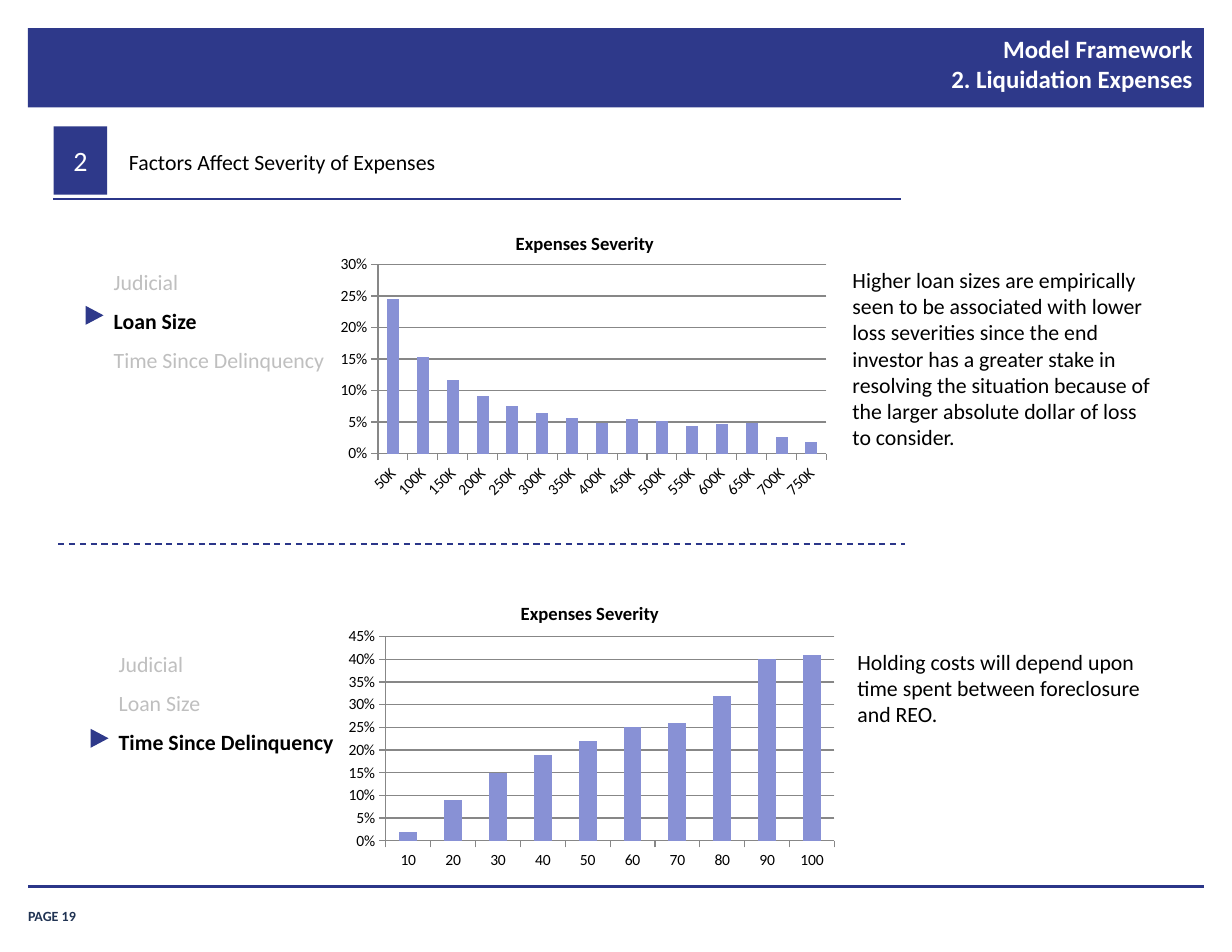
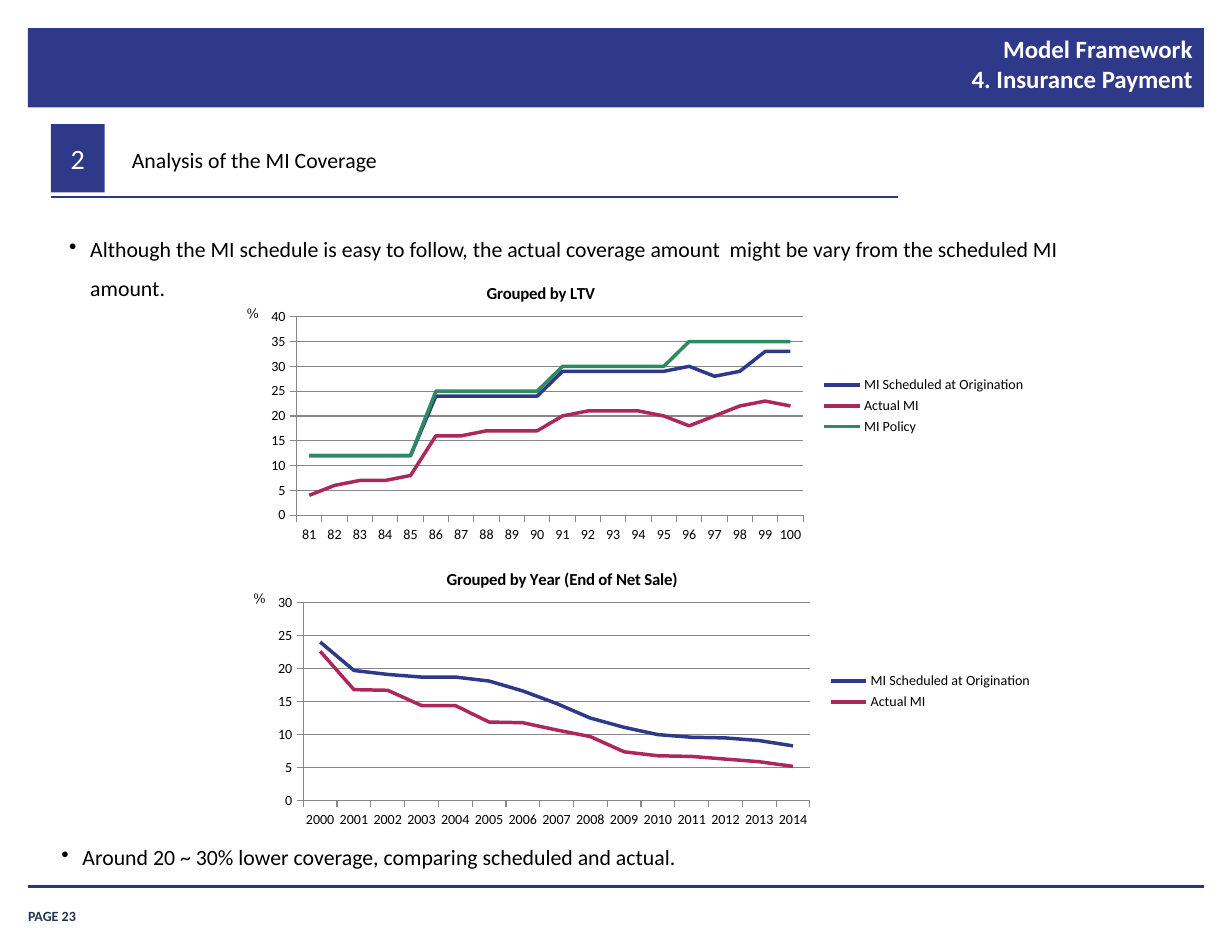
"""Build two slides on liquidation expenses and insurance payment."""
from dataclasses import dataclass
from typing import Any, Optional

import lxml.etree
import pptx
import pptx.chart.data
import pptx.dml.color
import pptx.enum.chart
import pptx.enum.dml
import pptx.enum.shapes
import pptx.enum.text
import pptx.oxml.ns
import pptx.util

Pt = pptx.util.Pt
qn = pptx.oxml.ns.qn
Align = pptx.enum.text.PP_ALIGN
Anchor = pptx.enum.text.MSO_ANCHOR
Shape = pptx.enum.shapes.MSO_SHAPE
Kind = pptx.enum.chart.XL_CHART_TYPE

NAVY, RULE, FOOT = "2E398A", "2B3689", "203353"
BLACK, WHITE, DIM, GRID = "000000", "FFFFFF", "BFBFBF", "878787"
BAR, ROSE, GREEN = "8891D5", "AD275C", "2E8A60"
FACTORS = ["Judicial", "Loan Size", "Time Since Delinquency"]
Box = tuple[float, float, float, float]


@dataclass
class Line:
    """A named chart series with its colour."""
    name: str
    color: str
    vals: list[float]


@dataclass
class Graph:
    """A chart with its place, data and axis scale."""
    box: Box
    plot: Box
    cats: list[str]
    lines: list[Line]
    top: float
    step: float
    title: str = ""
    spot: tuple[float, float] = (0, 0)
    turn: int = 0


@dataclass
class Panel:
    """A factor list, its chart and its note."""
    shift: float
    top: float
    live: int
    note: list[str]
    graph: Graph


def paint(color: str) -> Any:
    """Turn a hex string into a colour."""
    return pptx.dml.color.RGBColor.from_string(color)


def write(shape: Any, text: list[str], *, size: float = 14, color: str = BLACK,
          bold: bool = False, font: str = "Calibri", align: Any = Align.LEFT,
          space: Optional[float] = None, bullet: bool = False,
          live: Optional[int] = None, anchor: Any = Anchor.TOP,
          pad: tuple[float, float] = (7.2, 3.6), wrap: bool = True) -> None:
    """Fill a shape with formatted paragraphs."""
    frame = shape.text_frame
    frame.word_wrap, frame.vertical_anchor = wrap, anchor
    frame.margin_left = frame.margin_right = Pt(pad[0])
    frame.margin_top = frame.margin_bottom = Pt(pad[1])
    for row, words in enumerate(text):
        para = frame.add_paragraph() if row else frame.paragraphs[0]
        para.text, para.alignment = words, align
        if space:
            para.line_spacing = space
        if bullet:
            props = para._p.get_or_add_pPr()
            props.set("marL", str(Pt(13.5)))
            props.set("indent", str(-Pt(13.5)))
            lxml.etree.SubElement(props, qn("a:buChar")).set("char", "•")
        for run in para.runs:
            run.font.name, run.font.size = font, Pt(size)
            run.font.bold = bold or row == live
            run.font.color.rgb = paint(BLACK if row == live else color)


def label(slide: Any, box: Box, text: list[str], **style: Any) -> None:
    """Add a text box."""
    write(slide.shapes.add_textbox(*map(Pt, box)), text, **style)


def block(slide: Any, kind: Any, box: Box) -> Any:
    """Add a navy shape with no outline."""
    shape = slide.shapes.add_shape(kind, *map(Pt, box))
    shape.shadow.inherit = False
    shape.fill.solid()
    shape.fill.fore_color.rgb = paint(NAVY)
    shape.line.fill.background()
    return shape


def rule(slide: Any, left: float, top: float, width: float,
         weight: float = 1, dash: bool = False) -> None:
    """Draw a level line."""
    line = slide.shapes.add_connector(
        pptx.enum.shapes.MSO_CONNECTOR.STRAIGHT,
        Pt(left), Pt(top), Pt(left + width), Pt(top))
    line.line.color.rgb, line.line.width = paint(RULE), Pt(weight)
    if dash:
        line.line.dash_style = pptx.enum.dml.MSO_LINE.DASH
    lxml.etree.SubElement(line._element.spPr, qn("a:effectLst"))


def place(part: Any, index: int, spot: tuple[float, ...], inner: bool) -> None:
    """Fix the layout of a chart part, in shares of the chart."""
    old = part.find(qn("c:layout"))
    if old is not None:
        part.remove(old)
    layout = lxml.etree.Element(qn("c:layout"))
    part.insert(index, layout)
    manual = lxml.etree.SubElement(layout, qn("c:manualLayout"))
    pairs = [("layoutTarget", "inner")] if inner else []
    pairs += [("xMode", "edge"), ("yMode", "edge"), *zip("xywh", spot)]
    for tag, value in pairs:
        lxml.etree.SubElement(manual, qn(f"c:{tag}")).set("val", str(value))


def draw(slide: Any, graph: Graph, kind: Any) -> None:
    """Add a bar or line chart."""
    data = pptx.chart.data.CategoryChartData()
    data.categories = graph.cats
    for line in graph.lines:
        data.add_series(line.name, line.vals)
    chart = slide.shapes.add_chart(kind, *map(Pt, graph.box), data).chart
    bars = kind == Kind.COLUMN_CLUSTERED
    chart.font.name, chart.font.size = "Calibri", Pt(10 if bars else 9)
    chart.font.color.rgb = paint(BLACK)
    plot = chart.plots[0]
    plot.vary_by_categories = False
    if bars:
        plot.gap_width = 150
    for line, series in zip(graph.lines, plot.series):
        if bars:
            series.format.fill.solid()
            series.format.fill.fore_color.rgb = paint(line.color)
        else:
            series.smooth = False
            series.format.line.color.rgb = paint(line.color)
            series.format.line.width = Pt(2.25)
    scale = chart.value_axis
    scale.minimum_scale, scale.maximum_scale = 0, graph.top
    scale.major_unit, scale.has_major_gridlines = graph.step, True
    scale.tick_labels.number_format = "0%" if bars else "0"
    scale.tick_labels.number_format_is_linked = False
    for axis in (scale, chart.category_axis):
        axis.major_tick_mark = pptx.enum.chart.XL_TICK_MARK.OUTSIDE
    for part in (scale, chart.category_axis, scale.major_gridlines):
        part.format.line.color.rgb = paint(GRID)
        part.format.line.width = Pt(0.75)
    if graph.turn:
        chart.category_axis.tick_labels.font.size = Pt(10)
        body = chart.category_axis._element.find(qn("c:txPr")).find(qn("a:bodyPr"))
        body.set("rot", str(graph.turn * 60000))
    chart.has_legend = not bars
    if chart.has_legend:
        chart.legend.position = pptx.enum.chart.XL_LEGEND_POSITION.RIGHT
        chart.legend.include_in_layout = False
    chart.has_title = bool(graph.title)
    if graph.title:
        write(chart.chart_title, [graph.title], size=10.8, bold=True)
        place(chart.chart_title._element, 1, graph.spot, False)
    place(chart._chartSpace.chart.plotArea, 0, graph.plot, True)


def start(deck: Any, title: str, page: int) -> Any:
    """Add a slide with the shared band, title and footer."""
    slide = deck.slides.add_slide(deck.slide_layouts[6])
    block(slide, Shape.RECTANGLE, (18, 18, 756, 51))
    label(slide, (18, 577.4, 65.5, 16.6), [f"PAGE {page}"], size=9, bold=True,
          color=FOOT, anchor=Anchor.BOTTOM, pad=(0, 0))
    rule(slide, 18, 570, 756, 2)
    label(slide, (239, 17.3, 535.6, 53.3), [f"Model Framework\v{title}"],
          size=16, bold=True, color=WHITE, align=Align.RIGHT, pad=(7.9, 4.3))
    return slide


def head(slide: Any, left: float, top: float, gap: float, text: str) -> None:
    """Add the numbered section heading."""
    tile = block(slide, Shape.RECTANGLE, (left, top, 34.5, 44))
    write(tile, ["2"], size=18, color=WHITE, align=Align.CENTER,
          anchor=Anchor.MIDDLE)
    rule(slide, left, top + 46.8, 544.6)
    label(slide, (left + gap, top + 11.2, 320, 24.5), [text])


def show(slide: Any, panel: Panel) -> None:
    """Draw one factor panel."""
    shift, top = panel.shift, panel.top
    label(slide, (66 + shift, top, 184, 83.5), FACTORS, color=DIM,
          space=1.5, live=panel.live)
    mark = block(slide, Shape.ISOSCELES_TRIANGLE,
                 (54.7 + shift, top + 10 + 26.4 * panel.live, 12.2, 11.5))
    mark.rotation = 90
    label(slide, (540.9 + shift, top + 7.4, 207.4, 126), panel.note)
    label(slide, (285 + shift, panel.graph.box[1] - 16.2, 182, 21.6),
          ["Expenses Severity"], size=12, bold=True, align=Align.CENTER)
    draw(slide, panel.graph, Kind.COLUMN_CLUSTERED)


PANELS = [
    Panel(0, 160.6, 1, [
        "Higher loan sizes are empirically seen to be associated with lower "
        "loss severities since the end investor has a greater stake in "
        "resolving the situation because of the larger absolute dollar of "
        "loss to consider."],
        Graph((213.8, 162, 324, 162), (0.09, 0.05, 0.89, 0.75),
              [f"{size}K" for size in range(50, 751, 50)],
              [Line("Series 1", BAR, [
                  0.245, 0.154, 0.117, 0.091, 0.075, 0.065, 0.056, 0.049,
                  0.054, 0.051, 0.043, 0.046, 0.048, 0.026, 0.018])],
              0.3, 0.05, turn=-45)),
    Panel(3.2, 406.1, 2, [
        "Holding costs will depend upon time spent between foreclosure",
        "and REO."],
        Graph((218.9, 399.6, 324, 162), (0.09, 0.06, 0.89, 0.81),
              [str(days) for days in range(10, 101, 10)],
              [Line("Series 1", BAR, [
                  0.02, 0.09, 0.15, 0.19, 0.22, 0.25, 0.26, 0.32, 0.4, 0.41])],
              0.45, 0.05)),
]

PLAN, REAL = "MI Scheduled at Origination", "Actual MI"
TRENDS = [
    Graph((165.6, 168.5, 501.1, 185), (0.05, 0.19, 0.65, 0.69),
          [str(ltv) for ltv in range(81, 101)],
          [Line(PLAN, NAVY, [12] * 5 + [24] * 5 + [29] * 5 + [30, 28, 29, 33, 33]),
           Line(REAL, ROSE, [4, 6, 7, 7, 8, 16, 16, 17, 17, 17,
                             20, 21, 21, 21, 20, 18, 20, 22, 23, 22]),
           Line("MI Policy", GREEN, [12] * 5 + [25] * 5 + [30] * 5 + [35] * 5)],
          40, 5, "Grouped by LTV", (0.29, 0.06)),
    Graph((169.9, 352.1, 501.1, 185), (0.05, 0.19, 0.65, 0.69),
          [str(year) for year in range(2000, 2015)],
          [Line(PLAN, NAVY, [24, 19.7, 19.1, 18.7, 18.7, 18.1, 16.6, 14.7,
                             12.5, 11.1, 10, 9.6, 9.5, 9.1, 8.3]),
           Line(REAL, ROSE, [22.6, 16.8, 16.7, 14.4, 14.4, 11.9, 11.8, 10.7,
                             9.7, 7.4, 6.8, 6.7, 6.3, 5.9, 5.2])],
          30, 5, "Grouped by Year (End of Net Sale)", (0.23, 0.06)),
]


def main() -> None:
    """Build and save the deck."""
    deck = pptx.Presentation()
    deck.slide_width, deck.slide_height = Pt(792), Pt(612)

    slide = start(deck, "2. Liquidation Expenses", 19)
    head(slide, 34.4, 81.2, 41.4, "Factors Affect Severity of Expenses")
    rule(slide, 37.4, 349.9, 544.6, dash=True)
    for panel in PANELS:
        show(slide, panel)

    slide = start(deck, "4. Insurance Payment", 23)
    head(slide, 32.7, 79.8, 45, "Analysis of the MI Coverage")
    label(slide, (37.4, 139.7, 697, 58.3), [
        "Although the MI schedule is easy to follow, the actual coverage "
        "amount  might be vary from the scheduled MI amount."],
        space=1.5, bullet=True)
    for graph in TRENDS:
        draw(slide, graph, Kind.LINE)
        left, top = graph.box[:2]
        label(slide, (left - 7, top + 23.4, 7.2, 18), ["%"], size=9,
              font="Cambria", pad=(0, 3.6), wrap=False)
    label(slide, (32.4, 530.6, 697, 32.4), [
        "Around 20 ~ 30% lower coverage, comparing scheduled and actual."],
        space=1.5, bullet=True)
    deck.save("out.pptx")


if __name__ == "__main__":
    main()
